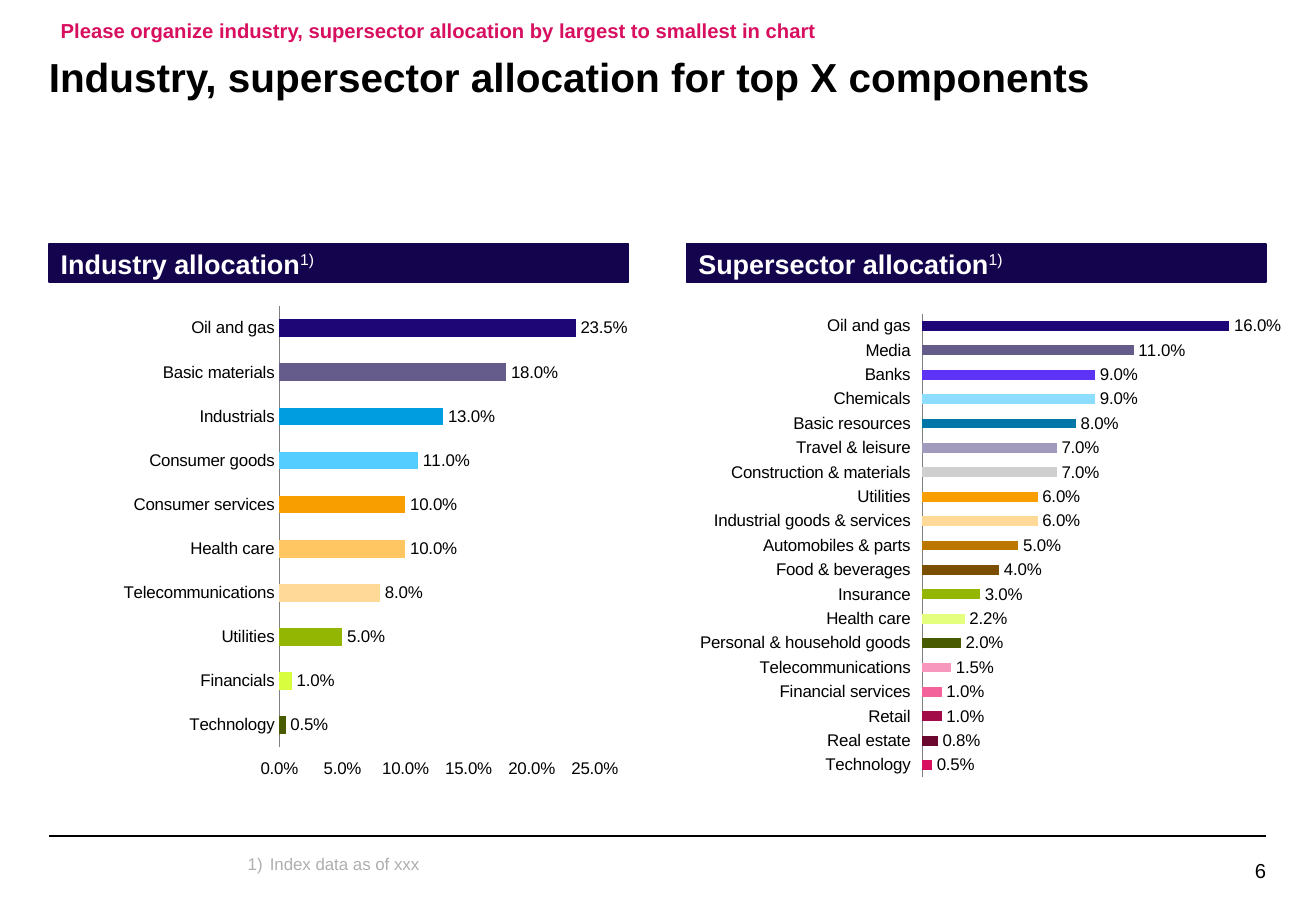
from lxml import etree
from pptx import Presentation
from pptx.chart.data import CategoryChartData
from pptx.dml.color import RGBColor
from pptx.enum.chart import XL_CHART_TYPE, XL_LABEL_POSITION, XL_TICK_LABEL_POSITION, XL_TICK_MARK
from pptx.enum.shapes import MSO_CONNECTOR, MSO_SHAPE
from pptx.enum.text import MSO_ANCHOR, MSO_AUTO_SIZE, PP_ALIGN
from pptx.oxml.ns import qn
from pptx.util import Cm, Pt

BAR_CLUSTERED = XL_CHART_TYPE.BAR_CLUSTERED
OUTSIDE_END = XL_LABEL_POSITION.OUTSIDE_END
LABELS_LOW = XL_TICK_LABEL_POSITION.LOW
TICK_NONE, TICK_OUTSIDE = XL_TICK_MARK.NONE, XL_TICK_MARK.OUTSIDE
STRAIGHT, RECTANGLE = MSO_CONNECTOR.STRAIGHT, MSO_SHAPE.RECTANGLE
TOP, MIDDLE = MSO_ANCHOR.TOP, MSO_ANCHOR.MIDDLE
LEFT, RIGHT = PP_ALIGN.LEFT, PP_ALIGN.RIGHT
NO_AUTOSIZE = MSO_AUTO_SIZE.NONE

TITLE_ONLY_LAYOUT = 5
FONT = "Arial"
PERCENT = "0.0%"
COLORS = {"text": "000000", "band": "14044E", "white": "FFFFFF",
          "note": "D80F5F", "footnote": "AFAFAF", "axis": "808080"}
MARGIN, CONTENT_WIDTH = 1.02, 25.45
BAND_TOP, BAND_WIDTH, BAND_HEIGHT = 5.11, 12.12, 0.79

# Smallest to largest: name, percentage, bar colour
INDUSTRIES = [
    ("Technology", 0.5, "495B01"),
    ("Financials", 1, "D7FD3E"),
    ("Utilities", 5, "92B602"),
    ("Telecommunications", 8, "FFD997"),
    ("Health care", 10, "FFC662"),
    ("Consumer services", 10, "F99E00"),
    ("Consumer goods", 11, "53CCFF"),
    ("Industrials", 13, "009EE0"),
    ("Basic materials", 18, "665C8C"),
    ("Oil and gas", 23.5, "1E0677"),
]
SUPERSECTORS = [
    ("Technology", 0.5, "D80F5F"),
    ("Real estate", 0.8, "6C0830"),
    ("Retail", 1, "A20B47"),
    ("Financial services", 1, "F4629C"),
    ("Telecommunications", 1.5, "F897BD"),
    ("Personal & household goods", 2, "495B01"),
    ("Health care", 2.2, "E4FE7E"),
    ("Insurance", 3, "92B602"),
    ("Food & beverages", 4, "7C4F00"),
    ("Automobiles & parts", 5, "BB7700"),
    ("Industrial goods & services", 6, "FFD997"),
    ("Utilities", 6, "F99E00"),
    ("Construction & materials", 7, "CFCFCF"),
    ("Travel & leisure", 7, "A29ABD"),
    ("Basic resources", 8, "0077A8"),
    ("Chemicals", 9, "8DDDFF"),
    ("Banks", 9, "5D33F5"),
    ("Media", 11, "665C8C"),
    ("Oil and gas", 16, "1E0677"),
]


def apply(target, values):
    for name, value in values.items():
        setattr(target, name, value)


def color(name):
    return RGBColor.from_string(COLORS.get(name, name))


class AllocationSlide:
    def __init__(self, slide):
        self.slide = slide

    def style_font(self, font, size, color_name, bold=False):
        apply(font, {"name": FONT, "size": Pt(size), "bold": bold})
        font.color.rgb = color(color_name)

    def format_frame(self, frame, anchor=TOP, left=0, right=0, top=0, bottom=0, wrap=True):
        apply(frame, {"auto_size": NO_AUTOSIZE, "word_wrap": wrap, "vertical_anchor": anchor,
                      "margin_left": Cm(left), "margin_right": Cm(right),
                      "margin_top": Cm(top), "margin_bottom": Cm(bottom)})

    def add_run(self, paragraph, text, size, color_name, bold=False, align=LEFT):
        paragraph.alignment = align
        run = paragraph.add_run()
        run.text = text
        self.style_font(run.font, size, color_name, bold)
        return run

    def title(self, text, left, top, width, height):
        shape = self.slide.shapes.title
        apply(shape, {"left": Cm(left), "top": Cm(top), "width": Cm(width), "height": Cm(height)})
        self.format_frame(shape.text_frame)
        self.add_run(shape.text_frame.paragraphs[0], text, 24, "text", bold=True)

    def text(self, text, box, size, color_name, bold=False, align=LEFT, line_spacing=None, **frame):
        shape = self.slide.shapes.add_textbox(*map(Cm, box))
        self.format_frame(shape.text_frame, **frame)
        paragraph = shape.text_frame.paragraphs[0]
        paragraph.line_spacing = line_spacing
        self.add_run(paragraph, text, size, color_name, bold, align)
        return paragraph

    def footnote(self, text, box):
        """Add a text numbered 1) with a hanging indent."""
        paragraph = self.text(text, box, 10, "footnote", line_spacing=0.95)
        properties = paragraph._p.get_or_add_pPr()
        properties.set("marL", str(Cm(0.46)))
        properties.set("indent", str(-Cm(0.46)))
        etree.SubElement(properties, qn("a:buAutoNum"), type="arabicParenR")

    def band(self, text, left):
        """Add a heading bar that refers to footnote 1)."""
        shape = self.slide.shapes.add_shape(
            RECTANGLE, Cm(left), Cm(BAND_TOP), Cm(BAND_WIDTH), Cm(BAND_HEIGHT))
        shape.shadow.inherit = False
        shape.fill.solid()
        shape.fill.fore_color.rgb = color("band")
        shape.line.color.rgb = color("band")
        shape.line.width = Pt(1)
        self.format_frame(shape.text_frame, MIDDLE, left=0.25, wrap=False)
        paragraph = shape.text_frame.paragraphs[0]
        self.add_run(paragraph, text, 16, "white", bold=True)
        reference = self.add_run(paragraph, "1)", 16, "white")
        reference._r.get_or_add_rPr().set("baseline", "30000")

    def rule(self, left, top, width):
        line = self.slide.shapes.add_connector(
            STRAIGHT, Cm(left), Cm(top), Cm(left + width), Cm(top))
        line.line.color.rgb = color("text")
        line.line.width = Pt(1)
        etree.SubElement(line._element.spPr, qn("a:effectLst"))

    def bar_chart(self, rows, box, plot_area, maximum, show_values_axis):
        data = CategoryChartData(number_format=PERCENT)
        data.categories = [name for name, _, _ in rows]
        data.add_series("Series 1", [round(percent / 100, 4) for _, percent, _ in rows])
        chart = self.slide.shapes.add_chart(BAR_CLUSTERED, *map(Cm, box), data).chart
        apply(chart, {"has_legend": False, "has_title": False})
        self.style_font(chart.font, 10, "text")

        apply(chart.category_axis, {"major_tick_mark": TICK_NONE, "has_major_gridlines": False})
        chart.category_axis.format.line.color.rgb = color("axis")
        if not show_values_axis:
            chart.category_axis.tick_label_position = LABELS_LOW
        values_axis = chart.value_axis
        apply(values_axis, {"visible": show_values_axis, "has_major_gridlines": False,
                            "minimum_scale": 0, "maximum_scale": maximum, "major_unit": 0.05,
                            "major_tick_mark": TICK_OUTSIDE})
        apply(values_axis.tick_labels, {"number_format": PERCENT, "number_format_is_linked": False})
        values_axis.format.line.fill.background()

        plot = chart.plots[0]
        apply(plot, {"gap_width": 150, "vary_by_categories": False, "has_data_labels": True})
        apply(plot.data_labels, {"show_value": True, "number_format": PERCENT,
                                 "number_format_is_linked": False, "position": OUTSIDE_END})
        for index, (_, _, bar_color) in enumerate(rows):
            fill = plot.series[0].points[index].format.fill
            fill.solid()
            fill.fore_color.rgb = color(bar_color)
        self.place_plot(chart, plot_area)

    def place_plot(self, chart, plot_area):
        """Fix the inner plot area as x, y, w, h fractions of the chart."""
        element = chart._chartSpace.chart.plotArea
        for old_layout in element.findall(qn("c:layout")):
            element.remove(old_layout)
        layout = etree.Element(qn("c:layout"))
        element.insert(0, layout)
        manual = etree.SubElement(layout, qn("c:manualLayout"))
        settings = [("layoutTarget", "inner"), ("xMode", "edge"), ("yMode", "edge")]
        for name, value in settings + list(zip("xywh", plot_area)):
            etree.SubElement(manual, qn(f"c:{name}"), val=str(value))


def main():
    presentation = Presentation()
    presentation.slide_width, presentation.slide_height = Cm(27.51), Cm(19.05)
    page = AllocationSlide(
        presentation.slides.add_slide(presentation.slide_layouts[TITLE_ONLY_LAYOUT]))

    page.rule(MARGIN, 17.48, CONTENT_WIDTH)
    page.text("6", (24.21, 17.98, 2.26, 0.48), 12, "text", align=RIGHT, line_spacing=0.95)
    page.footnote("Index data as of xxx", (5.18, 17.88, 21.34, 1.02))
    page.title("Industry, supersector allocation for top X components",
               MARGIN, 1.09, CONTENT_WIDTH, 2.16)
    page.text("Please organize industry, supersector allocation by largest to smallest in chart",
              (MARGIN, 0.25, CONTENT_WIDTH, 0.76), 12, "note", bold=True,
              anchor=MIDDLE, left=0.25, right=0.25, top=0.13, bottom=0.13)
    page.band("Industry allocation", MARGIN)
    page.band("Supersector allocation", MARGIN + CONTENT_WIDTH - BAND_WIDTH)
    page.bar_chart(INDUSTRIES, (MARGIN, 6.05, 13.97, 10.41),
                   (0.345, 0.034, 0.472, 0.886), 0.25, show_values_axis=True)
    page.bar_chart(SUPERSECTORS, (14.38, 6.17, 13.97, 10.92),
                   (0.351, 0.036, 0.517, 0.888), 0.18, show_values_axis=False)
    presentation.save("out.pptx")


if __name__ == "__main__":
    main()
